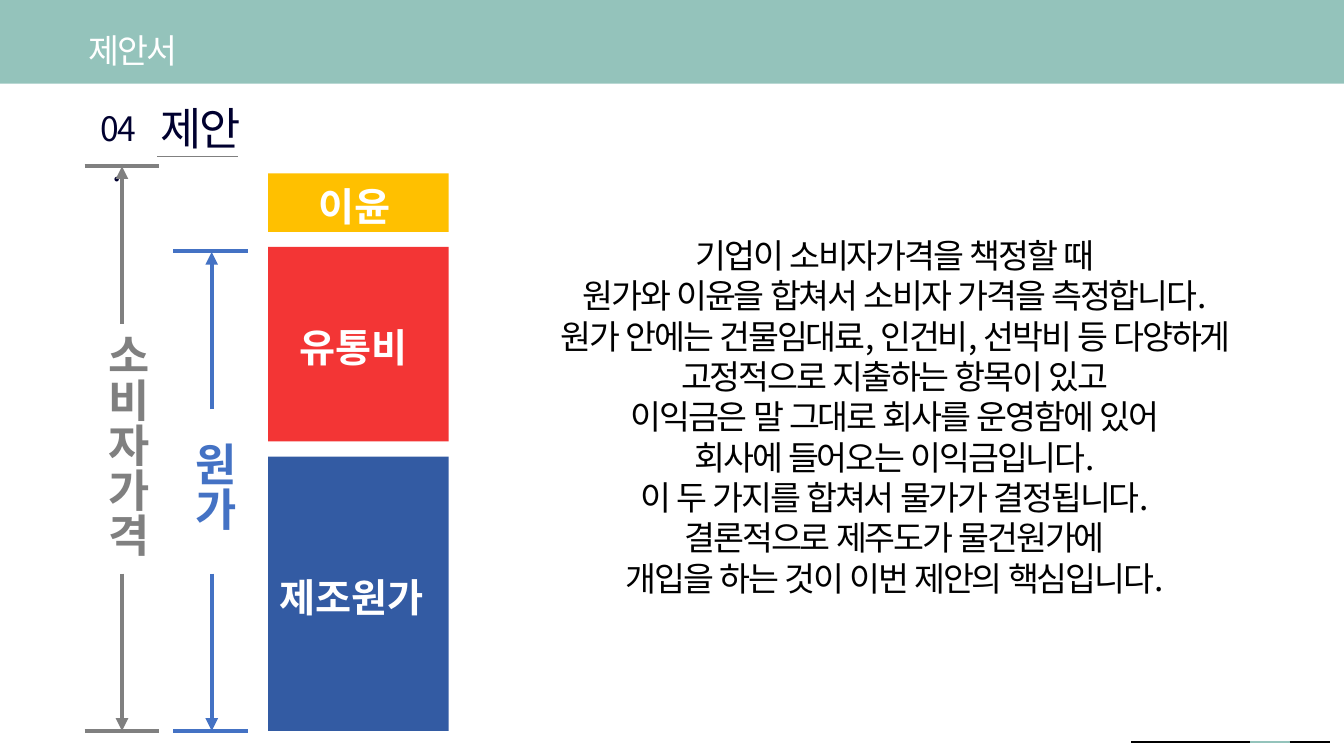
from pptx import Presentation
from pptx.dml.color import RGBColor
from pptx.enum.shapes import MSO_CONNECTOR, MSO_SHAPE
from pptx.enum.text import MSO_ANCHOR, MSO_AUTO_SIZE, PP_ALIGN
from pptx.oxml.ns import qn
from pptx.util import Pt
from lxml import etree

LINE, RECT = MSO_CONNECTOR.STRAIGHT, MSO_SHAPE.RECTANGLE
LEFT, MID, TOP = PP_ALIGN.LEFT, PP_ALIGN.CENTER, MSO_ANCHOR.TOP
GROW = MSO_AUTO_SIZE.SHAPE_TO_FIT_TEXT

FONT = "Noto Sans CJK KR"
SCALE = 9144  # EMU per px, 100 px to the inch
WIDE, HIGH = 1333, 750

COLORS = {
    "mint": "94C3BB", "white": "FFFFFF", "black": "000000", "navy": "00002F",
    "gray": "808080", "sky": "4472C4", "blue": "335BA3", "red": "F33535",
    "gold": "FFC000",
}

TITLE = "제안서"
BODY = [
    "기업이 소비자가격을 책정할 때",
    "원가와 이윤을 합쳐서 소비자 가격을 측정합니다.",
    "원가 안에는 건물임대료, 인건비, 선박비 등 다양하게 고정적으로 지출하는 항목이 있고",
    "이익금은 말 그대로 회사를 운영함에 있어",
    "회사에 들어오는 이익금입니다.",
    "이 두 가지를 합쳐서 물가가 결정됩니다.",
    "결론적으로 제주도가 물건원가에",
    "개입을 하는 것이 이번 제안의 핵심입니다.",
]
# text, box, size
HEADS = [("04.", (86, 102, 61, 49), 24), ("제안", (148, 95, 102, 62), 32)]
# text, text box, block top, block height, color
BLOCKS = [
    ("이윤", (306, 176, 99, 57), 172, 58, "gold"),
    ("유통비", (287, 316, 138, 57), 245, 193, "red"),
    ("제조원가", (267, 564, 177, 57), 453, 272, "blue"),
]
BLOCK_X, BLOCK_W = 266, 179
# text, text box, color, axis x, tick y at top, arrow tip and tail at top
SPANS = [
    ("소비자가격", (84, 321, 74, 248), "gray", 121, 165, 165, 321),
    ("원가", (170, 429, 74, 110), "sky", 210, 249, 250, 406),
]
BASE, LOW, TICK = 725, 569, 74
STRIP = ["black", "black", "black", "mint", "black"]
STRIP_X, STRIP_Y, STRIP_W = 1122, 736, 197

prs = Presentation()
prs.slide_width, prs.slide_height = WIDE * SCALE, HIGH * SCALE
slide = prs.slides.add_slide(prs.slide_layouts[1])
shapes = slide.shapes


def emu(box):
    return [n * SCALE for n in box]


def rgb(name):
    return RGBColor.from_string(COLORS[name])


def place(shape, box):
    shape.left, shape.top, shape.width, shape.height = emu(box)


def write(shape, lines, size, color, align=MID, bold=False, tight=True, wrap=True):
    frame = shape.text_frame
    frame.text = "\n".join(lines)
    frame.word_wrap, frame.auto_size = wrap, GROW
    frame.vertical_anchor = TOP
    for para in frame.paragraphs:
        para.alignment = align
        para.space_before = Pt(0)
        for run in para.runs:
            font = run.font
            font.name, font.size, font.bold = FONT, Pt(size), bold
            font.color.rgb = rgb(color)
            props = run._r.get_or_add_rPr()
            props.set("lang", "ko-KR")
            if tight:
                props.set("spc", "-150")
            east = etree.Element(qn("a:ea"), typeface=FONT)
            props.find(qn("a:latin")).addnext(east)


def label(box, *args, **opts):
    shape = shapes.add_textbox(*emu(box))
    write(shape, *args, **opts)
    return shape


def rect(box, color):
    shape = shapes.add_shape(RECT, *emu(box))
    shape.shadow.inherit = False
    shape.fill.solid()
    shape.fill.fore_color.rgb = rgb(color)
    shape.line.fill.background()
    return shape


def rule(x1, y1, x2, y2, color, width, arrow=False):
    line = shapes.add_connector(LINE, *emu((x1, y1, x2, y2)))
    line.line.color.rgb = rgb(color)
    line.line.width = Pt(width)
    props = line.element.spPr
    if arrow:
        etree.SubElement(props.find(qn("a:ln")), qn("a:tailEnd"), type="triangle")
    etree.SubElement(props, qn("a:effectLst"))
    return line


# Page, title and body
slide.background.fill.solid()
slide.background.fill.fore_color.rgb = rgb("mint")
title, body = slide.placeholders
page = rect((0, 83, WIDE, HIGH - 83), "white")
title.element.addprevious(page.element)

place(title, (76, 25, 112, 49))
write(title, [TITLE], 24, "white", wrap=False)

place(body, (516, 228, 743, 369))
write(body, BODY, 24, "black")
for para in body.text_frame.paragraphs:
    props = para._p.get_or_add_pPr()
    props.set("marL", "0")
    props.set("indent", "0")
    etree.SubElement(props, qn("a:buNone"))

for text, box, size in HEADS:
    label(box, [text], size, "navy", wrap=False)
rule(156, 155, 236, 155, "gray", 0.5)

# Price blocks
for text, box, top, tall, color in BLOCKS:
    rect((BLOCK_X, top, BLOCK_W, tall), color)
    label(box, [text], 28, "white", align=LEFT, bold=True, tight=False)

# Spans beside the blocks
for text, box, color, x, tick, tip, tail in SPANS:
    name = label(box, [text], 32, color, align=LEFT, bold=True, tight=False)
    name.text_frame._txBody.bodyPr.set("vert", "eaVert")
    up = rule(x, tail, x, tip, color, 3, arrow=True)
    down = rule(x, LOW, x, BASE, color, 3, arrow=True)
    if box[1] == tail:
        up.begin_connect(name, 0)
        down.begin_connect(name, 2)
    left = x - TICK // 2 - (x > 200)
    for y in (tick, BASE):
        rule(left, y, left + TICK, y, color, 3)

# Strip at the foot
marks = [STRIP_X + i * STRIP_W // len(STRIP) for i in range(len(STRIP) + 1)]
for start, end, color in zip(marks, marks[1:], STRIP):
    rule(start, STRIP_Y, end, STRIP_Y, color, 1.5)

prs.save("out.pptx")
